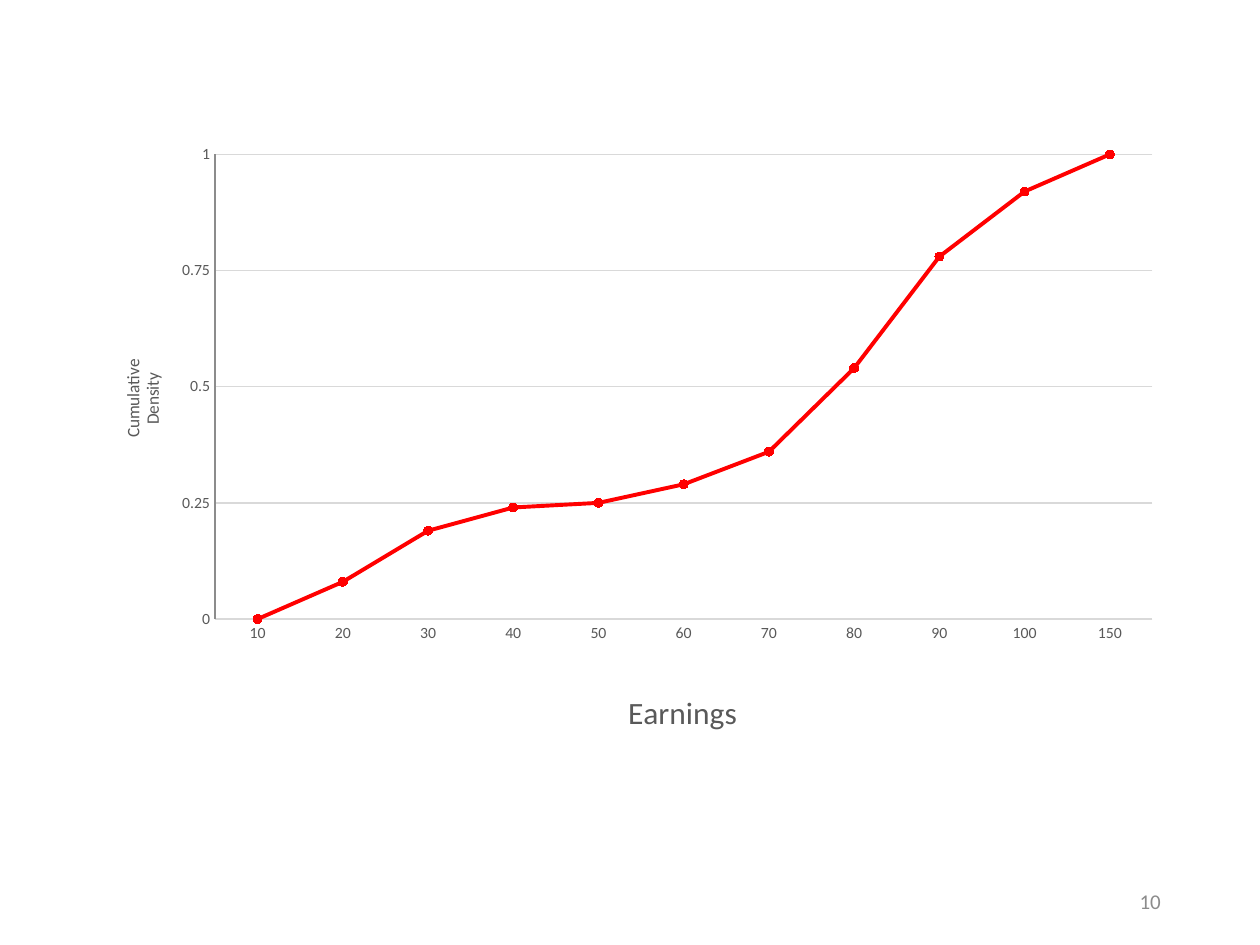
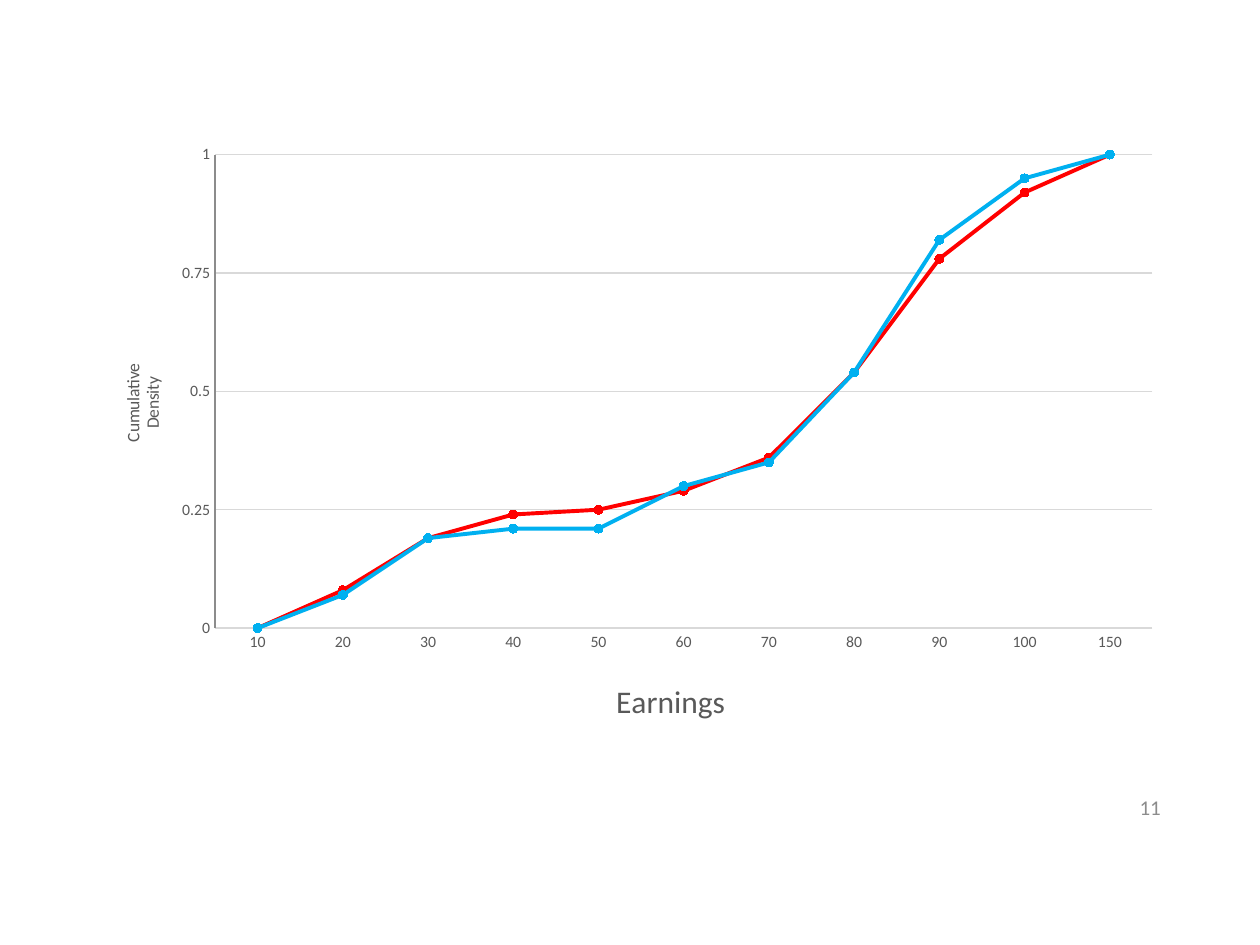
from lxml.etree import SubElement
from pptx import Presentation
from pptx.chart.data import CategoryChartData as Data
from pptx.dml.color import RGBColor as RGB
from pptx.enum.chart import XL_CHART_TYPE as Kind, XL_MARKER_STYLE as Mark
from pptx.enum.chart import XL_TICK_MARK as Tick
from pptx.enum.text import MSO_ANCHOR as Anchor, PP_ALIGN as Align
from pptx.oxml.ns import qn
from pptx.util import Cm, Pt

# Shared look
FONT = "Calibri"
BLACK = RGB(0x00, 0x00, 0x00)
TEXT = RGB(0x59, 0x59, 0x59)
GREY = RGB(0x8C, 0x8C, 0x8C)
GRID = RGB(0xD9, 0xD9, 0xD9)
RED = RGB(0xFF, 0x00, 0x00)
BLUE = RGB(0x00, 0xB0, 0xF0)

# Shared data: earnings bands and cumulative shares
BANDS = ["10", "20", "30", "40", "50", "60", "70", "80", "90", "100", "150"]
FIRST = ("Series 1", RED,
         [0, 0.08, 0.19, 0.24, 0.25, 0.29, 0.36, 0.54, 0.78, 0.92, 1])
SECOND = ("Series 2", BLUE,
          [0, 0.07, 0.19, 0.21, 0.21, 0.3, 0.35, 0.54, 0.82, 0.95, 1])
CHART_BOX = Cm(1.75), Cm(2.69), Cm(21.9), Cm(12.27)


def style(font, size, color):
    font.name, font.size, font.bold = FONT, Pt(size), False
    font.color.rgb = color


def stroke(line, color, width):
    line.color.rgb, line.width = color, Pt(width)


def place(host, index, **spots):
    """Set a manual layout, in fractions of the chart, on a chart part."""
    for old in host.findall(qn("c:layout")):
        host.remove(old)
    layout = SubElement(host, qn("c:layout"))
    host.insert(index, layout)
    manual = SubElement(layout, qn("c:manualLayout"))
    if "w" in spots:
        SubElement(manual, qn("c:layoutTarget")).set("val", "inner")
    for key in "xy":
        SubElement(manual, qn(f"c:{key}Mode")).set("val", "edge")
    for key, value in spots.items():
        SubElement(manual, qn(f"c:{key}")).set("val", str(value))


def name_axis(axis, lines, size, x, y):
    frame = axis.axis_title.text_frame
    for i, words in enumerate(lines):
        para = frame.add_paragraph() if i else frame.paragraphs[0]
        run = para.add_run()
        run.text = words
        style(run.font, size, TEXT)
    place(axis.axis_title._element, 1, x=x, y=y)


def add_curves(slide, box, curves, height, spot):
    """Line chart; height is the plot's, spot is where the x title starts."""
    data = Data()
    data.categories = BANDS
    for name, _, values in curves:
        data.add_series(name, values)
    chart = slide.shapes.add_chart(Kind.LINE_MARKERS, *box, data).chart
    chart.has_legend = chart.has_title = False
    style(chart.font, 10, BLACK)
    chart.plots[0].vary_by_categories = False
    place(chart._element.find(".//" + qn("c:plotArea")), 0,
          x=0.118, y=0.035, w=0.863, h=height)

    # Axes
    bands, shares = chart.category_axis, chart.value_axis
    for axis, color in (bands, GRID), (shares, GREY):
        axis.major_tick_mark = axis.minor_tick_mark = Tick.NONE
        style(axis.tick_labels.font, 9, TEXT)
        stroke(axis.format.line, color, 0.75)
    shares.minimum_scale, shares.maximum_scale = 0, 1
    shares.major_unit = 0.25
    shares.has_major_gridlines = True
    stroke(shares.major_gridlines.format.line, GRID, 0.75)
    name_axis(bands, ["Earnings"], 18, *spot)
    name_axis(shares, ["Cumulative", "Density"], 10, 0.028, 0.372)

    # Curves
    for series, (_, color, _) in zip(chart.plots[0].series, curves):
        series.smooth = False
        stroke(series.format.line, color, 2.25)
        marker = series.marker
        marker.style, marker.size = Mark.CIRCLE, 5
        marker.format.fill.solid()
        marker.format.fill.fore_color.rgb = color
        stroke(marker.format.line, color, 0.75)


def add_number(slide, box, number):
    frame = slide.shapes.add_textbox(*box).text_frame
    frame.word_wrap = True
    frame.vertical_anchor = Anchor.MIDDLE
    para = frame.paragraphs[0]
    para.alignment = Align.RIGHT
    run = para.add_run()
    run.text = number
    style(run.font, 12, GREY)


def add_page(deck, number, box, curves, height, spot):
    slide = deck.slides.add_slide(deck.slide_layouts[6])
    add_number(slide, box, number)
    add_curves(slide, CHART_BOX, curves, height, spot)


deck = Presentation()
deck.slide_width, deck.slide_height = Cm(25.4), Cm(19.05)
add_page(deck, "10", (Cm(17.93), Cm(17.65), Cm(5.72), Cm(1.02)),
         [FIRST], 0.774, (0.493, 0.92))
add_page(deck, "11", (Cm(17.93), Cm(15.9), Cm(5.72), Cm(0.76)),
         [FIRST, SECOND], 0.778, (0.482, 0.888))
deck.save("out.pptx")
